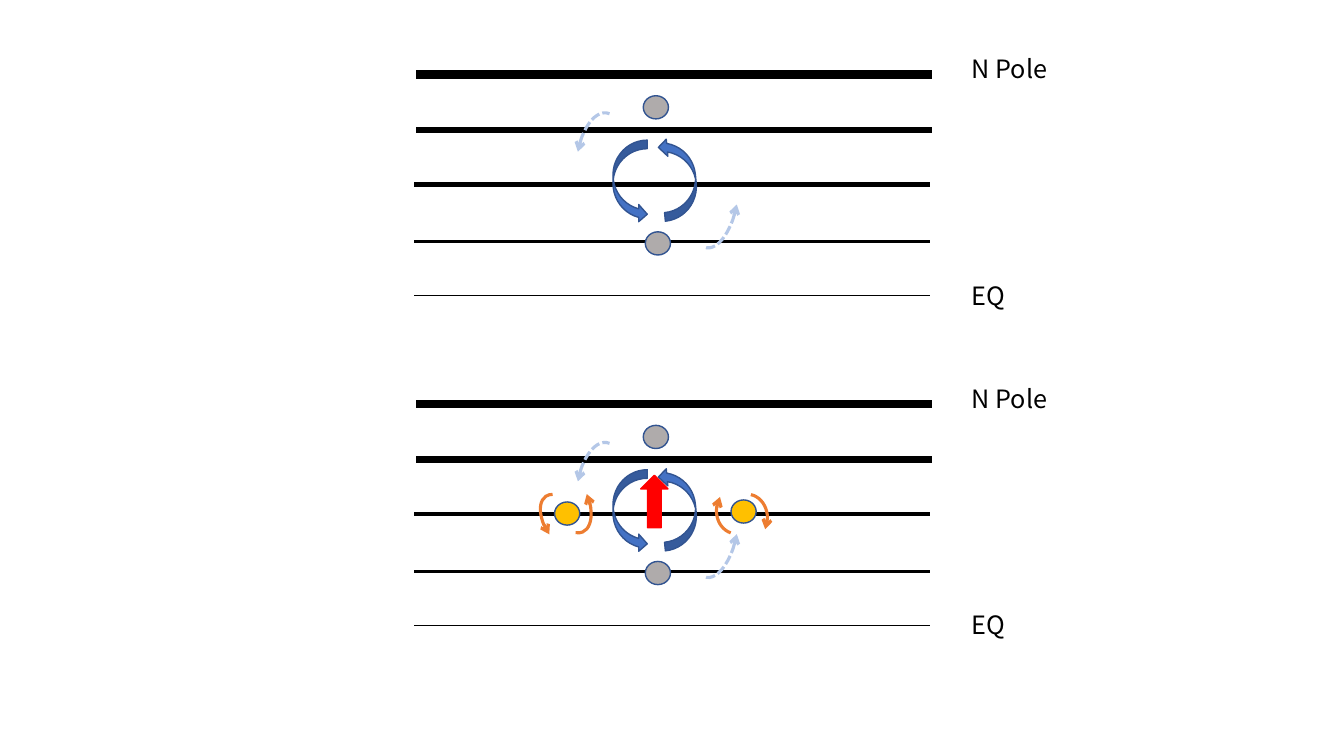
"""Build a slide with two latitude diagrams of rotating flow."""
from dataclasses import dataclass

from lxml.etree import SubElement
from pptx import Presentation
from pptx.dml.color import RGBColor
from pptx.enum.dml import MSO_LINE
from pptx.enum.shapes import MSO_CONNECTOR, MSO_SHAPE
from pptx.enum.text import MSO_AUTO_SIZE
from pptx.oxml.ns import qn
from pptx.util import Inches, Pt


@dataclass(frozen=True)
class Theme:
    """Colours, type and line widths of the slide."""
    ink: str = "000000"
    outline: str = "325491"
    centre: str = "AFABAB"
    induced: str = "FFC000"
    flow: str = "4472C4"
    drift: str = "B4C7E7"
    spin: str = "ED7D31"
    push: str = "FF0000"
    font: str = "Noto Sans CJK JP"
    label_size: float = 18
    outline_width: float = 1
    arc_width: float = 2.25


THEME = Theme()
UPPER_TOP = 0.74
LOWER_TOP = 4.01
LINE_LENGTH = 5.11
DRIFT_ANGLES = (166.172, 2.302)
SPIN_ANGLES = (162, 7.337)

LATITUDES = [
    (4.11, 2.19, 0.5),
    (4.13, 0.55, 4.5),
    (4.11, 1.09, 3),
    (4.11, 1.66, 2.25),
    (4.13, 0, 6),
]
LABELS = [("N Pole", -0.26), ("EQ", 1.99)]
CENTRES = [(6.38, 0.21), (6.4, 1.56)]
INDUCED_CENTRES = [(5.5, 0.97), (7.25, 0.95)]
FLOWS = [(6.08, 0.65, 0), (6.56, 0.62, 174.6)]
DRIFTS = [
    ((6.59, 1, 1, 0.45), 99.5),
    ((5.5, 0.6, 0.9, 0.45), 278.5),
]
SPINS = [
    ((5.27, 1, 0.66, 0.37), 235.5, "headEnd"),
    ((5.32, 0.78, 0.66, 0.37), 66.9, "headEnd"),
    ((7.11, 0.78, 0.44, 0.51), 199, "tailEnd"),
    ((7.17, 0.89, 0.44, 0.51), 13.2, "tailEnd"),
]


def colour(value):
    """Turn a hex string into a colour."""
    return RGBColor.from_string(value)


def set_line(line, value, width):
    """Give a line its colour and width."""
    line.color.rgb = colour(value)
    line.width = Pt(width)


def add_latitude(slide, left, top, width):
    """Draw one horizontal latitude line."""
    line = slide.shapes.add_connector(
        MSO_CONNECTOR.STRAIGHT, Inches(left), Inches(top),
        Inches(left + LINE_LENGTH), Inches(top))
    set_line(line.line, THEME.ink, width)
    SubElement(line._element.spPr, qn("a:effectLst"))


def add_label(slide, text, top):
    """Write the name of a latitude to the right of its line."""
    box = slide.shapes.add_textbox(
        Inches(9.54), Inches(top), Inches(1.44), Inches(0.4))
    frame = box.text_frame
    frame.word_wrap = True
    frame.auto_size = MSO_AUTO_SIZE.SHAPE_TO_FIT_TEXT
    frame.text = text
    font = frame.paragraphs[0].runs[0].font
    font.name = THEME.font
    font.size = Pt(THEME.label_size)
    font.color.rgb = colour(THEME.ink)


def add_outlined(slide, kind, place, fill, line=THEME.outline, rotation=0):
    """Draw a filled shape with a thin outline."""
    shape = slide.shapes.add_shape(kind, *map(Inches, place))
    shape.shadow.inherit = False
    shape.rotation = rotation
    shape.fill.solid()
    shape.fill.fore_color.rgb = colour(fill)
    set_line(shape.line, line, THEME.outline_width)


def add_vortex(slide, left, top, fill):
    """Draw the small disc at the centre of a vortex."""
    add_outlined(slide, MSO_SHAPE.OVAL, (left, top, 0.25, 0.23), fill)


def add_arc(slide, place, rotation, angles, value, arrow_end, dash=None):
    """Draw a curved line with an arrowhead at one end."""
    arc = slide.shapes.add_shape(MSO_SHAPE.ARC, *map(Inches, place))
    arc.shadow.inherit = False
    arc.rotation = rotation
    for index, angle in enumerate(angles):
        arc.adjustments[index] = angle
    arc.fill.background()
    set_line(arc.line, value, THEME.arc_width)
    if dash is not None:
        arc.line.dash_style = dash
    outline = arc._element.spPr.find(qn("a:ln"))
    SubElement(outline, qn(f"a:{arrow_end}"), type="arrow")


def add_diagram(slide, top):
    """Draw the latitudes, the main vortex and its drift."""
    for left, offset, width in LATITUDES:
        add_latitude(slide, left, top + offset, width)
    for text, offset in LABELS:
        add_label(slide, text, top + offset)
    for left, offset in CENTRES:
        add_vortex(slide, left, top + offset, THEME.centre)
    for (left, offset, width, height), rotation in DRIFTS:
        add_arc(slide, (left, top + offset, width, height), rotation,
                DRIFT_ANGLES, THEME.drift, "headEnd", MSO_LINE.SQUARE_DOT)
    for left, offset, rotation in FLOWS:
        add_outlined(slide, MSO_SHAPE.CURVED_RIGHT_ARROW,
                     (left, top + offset, 0.34, 0.82), THEME.flow,
                     rotation=rotation)


def add_response(slide, top):
    """Draw the induced vortices and the push towards the pole."""
    for left, offset in INDUCED_CENTRES:
        add_vortex(slide, left, top + offset, THEME.induced)
    for (left, offset, width, height), rotation, arrow_end in SPINS:
        add_arc(slide, (left, top + offset, width, height), rotation,
                SPIN_ANGLES, THEME.spin, arrow_end)
    add_outlined(slide, MSO_SHAPE.RIGHT_ARROW, (6.23, top + 0.83, 0.52, 0.27),
                 THEME.push, THEME.push, 270)


def main():
    """Build and save the deck."""
    deck = Presentation()
    deck.slide_width = Inches(13.33)
    deck.slide_height = Inches(7.5)
    page = deck.slides.add_slide(deck.slide_layouts[6])
    add_diagram(page, LOWER_TOP)
    add_response(page, LOWER_TOP)
    add_diagram(page, UPPER_TOP)
    deck.save("out.pptx")


if __name__ == "__main__":
    main()
